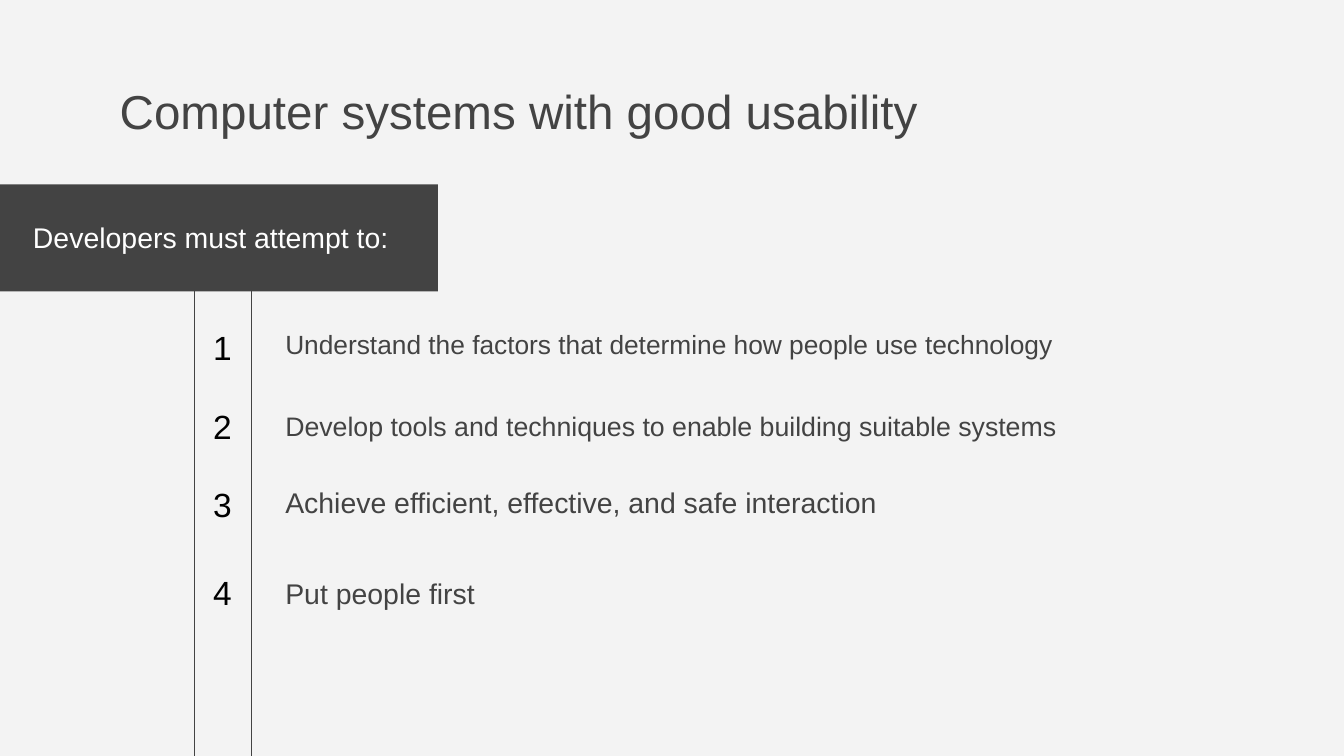
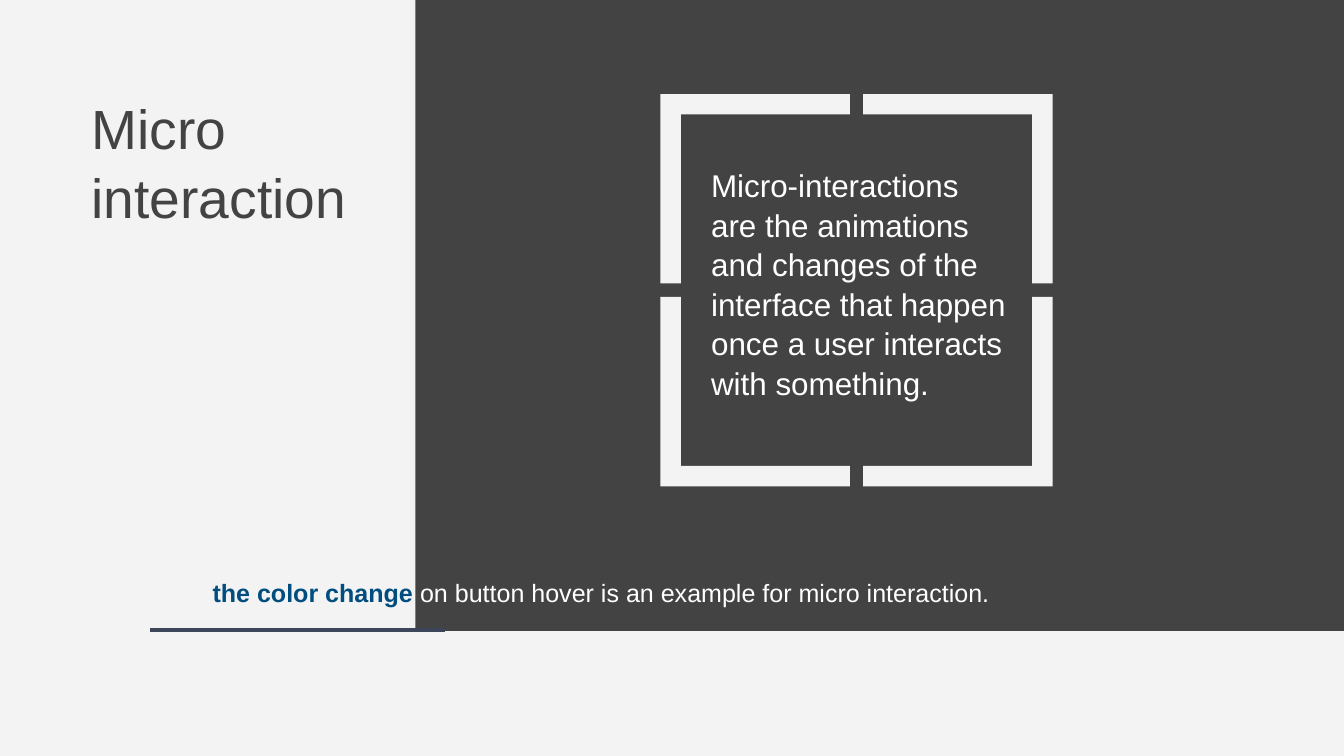
from collections import namedtuple

from lxml import etree
from pptx import Presentation
from pptx import util as u
from pptx.dml.color import RGBColor
from pptx.enum import shapes, text
from pptx.oxml.ns import qn

# The grid has square cells, 22 across the slide.
COLS = 22
WIDE, HIGH = u.Inches(21.99), u.Inches(12.37)
CELL = WIDE / COLS
ROWS = HIGH / CELL

PALE = RGBColor(0xF3, 0xF3, 0xF3)
DARK = RGBColor(0x43, 0x43, 0x43)
WHITE = RGBColor(0xFF, 0xFF, 0xFF)
BLACK = RGBColor(0x00, 0x00, 0x00)
BLUE = RGBColor(0x00, 0x4D, 0x7F)
SLATE = RGBColor(0x3D, 0x46, 0x58)
FONT = "Arial"

Box = namedtuple("Box", "x y w h")
Step = namedtuple("Step", "label size top drop")

STEPS = [
    Step("Understand the factors that determine how people use technology", 31, 0.84, 0.02),
    Step("Develop tools and techniques to enable building suitable systems", 31.5, 2.12, 0.07),
    Step("Achieve efficient, effective, and safe interaction", 33.5, 3.4, 0.02),
    Step("Put people first", 33.5, 4.84, 0.07),
]


def cells(*counts):
    """Turn grid counts into whole lengths."""
    return [u.Emu(round(n * CELL)) for n in counts]


def write(slide, box, words, size, color, lines=1):
    """Place one paragraph in a box without margins."""
    frame = slide.shapes.add_textbox(*cells(*box)).text_frame
    frame.word_wrap = True
    frame.vertical_anchor = text.MSO_ANCHOR.TOP
    frame.margin_left = frame.margin_right = 0
    frame.margin_top = frame.margin_bottom = 0
    para = frame.paragraphs[0]
    para.line_spacing = lines
    para.font.name, para.font.size = FONT, u.Pt(size)
    para.font.color.rgb = color
    para.add_run().text = words
    return para


def title(slide, box, words, size, lines=1):
    """Write a slide title in the shared title colour."""
    write(slide, box, words, size, DARK, lines)


def panel(slide, box):
    """Draw a plain dark block."""
    shape = slide.shapes.add_shape(shapes.MSO_SHAPE.RECTANGLE, *cells(*box))
    shape.shadow.inherit = False
    shape.fill.solid()
    shape.fill.fore_color.rgb = DARK
    shape.line.fill.background()


def outline(slide, paths, close=True):
    """Draw one free shape from lists of grid points."""
    (first, *rest), *others = [[cells(*p) for p in path] for path in paths]
    pen = slide.shapes.build_freeform(*first)
    pen.add_line_segments(rest, close=close)
    for start, *tail in others:
        pen.move_to(*start)
        pen.add_line_segments(tail, close=close)
    shape = pen.convert_to_shape()
    shape.shadow.inherit = False
    return shape


def rails(slide, box):
    """Draw the two upright lines that hold the numbers."""
    ends = box.y, box.y + box.h
    paths = [[(x, y) for y in ends] for x in (box.x, box.x + box.w)]
    shape = outline(slide, paths, close=False)
    shape.fill.background()
    shape.line.color.rgb, shape.line.width = DARK, u.Pt(1.65)


def banner(slide, box, words):
    """Draw a dark band with a line of white text."""
    panel(slide, box)
    write(slide, Box(box.x + 0.54, box.y + 0.59, box.w - 0.74, 0.59),
          words, 33.5, WHITE)


def steps(slide, box, items):
    """Number the items in a column with a label beside each."""
    for num, item in enumerate(items, 1):
        top = box.y + item.top
        write(slide, Box(box.x, top, 0.33, 0.69), str(num), 39.5, BLACK)
        write(slide, Box(box.x + 1.18, top + item.drop, box.w - 1.18, 0.55),
              item.label, item.size, DARK)


def frame(slide, box, words):
    """Draw four corner brackets around a passage."""
    arm, thick = box.w * 0.483, box.w * 0.052
    bend = [(0, 0), (arm, 0), (arm, thick), (thick, thick), (thick, arm), (0, arm)]
    corners = [(box.x + i * box.w, box.y + j * box.h, 1 - 2 * i, 1 - 2 * j)
               for i in (0, 1) for j in (0, 1)]
    shape = outline(slide, [[(x + sx * dx, y + sy * dy) for dx, dy in bend]
                            for x, y, sx, sy in corners])
    shape.fill.solid()
    shape.fill.fore_color.rgb = PALE
    shape.line.fill.background()
    write(slide, Box(box.x + 0.83, box.y + 1.15, 4.89, 3.73), words, 37, WHITE, 1.05)


def rule(slide, x, y, w):
    """Draw a level accent line."""
    line = slide.shapes.add_connector(
        shapes.MSO_CONNECTOR.STRAIGHT, *cells(x, y, x + w, y))
    line.line.color.rgb, line.line.width = SLATE, u.Pt(4.12)
    etree.SubElement(line._element.spPr, qn("a:effectLst"))


def caption(slide, box, lead, rest):
    """Write a line that opens with a bold blue phrase."""
    para = write(slide, box, lead, 29.5, WHITE)
    para.runs[0].font.bold = True
    para.runs[0].font.color.rgb = BLUE
    para.add_run().text = rest


def list_slide(slide, page):
    """Build the numbered list of aims."""
    title(slide, Box(page.x + 1.96, 1.35, page.w - 3.2, 0.95),
          "Computer systems with good usability", 56)
    rails(slide, Box(3.18, 4.52, 0.94, page.h - 4.52))
    banner(slide, Box(page.x, 3.02, 7.17, 1.75), "Developers must attempt to:")
    steps(slide, Box(3.49, 4.52, 14, page.h - 4.52), STEPS)


def quote_slide(slide, page):
    """Build the framed definition with its example."""
    title(slide, Box(page.x + 1.5, 1.5, 4.2, 2.2), "Micro interaction", 65, 1.04)
    panel(slide, Box(6.8, page.y, page.w - 6.8, 10.33))
    rule(slide, 2.46, 10.31, 4.82)
    frame(slide, Box(10.81, 1.54, 6.42, 6.42),
          "Micro-interactions are the animations and changes of the "
          "interface that happen once a user interacts with something.")
    caption(slide, Box(3.48, 9.45, 12.9, 0.52), "the color change ",
            "on button hover is an example for micro interaction.")


def main():
    """Build and save the deck."""
    deck = Presentation()
    deck.slide_width, deck.slide_height = WIDE, HIGH
    back = deck.slide_master.background.fill
    back.solid()
    back.fore_color.rgb = PALE
    page = Box(0, 0, COLS, ROWS)
    for build in (list_slide, quote_slide):
        build(deck.slides.add_slide(deck.slide_layouts[6]), page)
    deck.save("out.pptx")


main()
